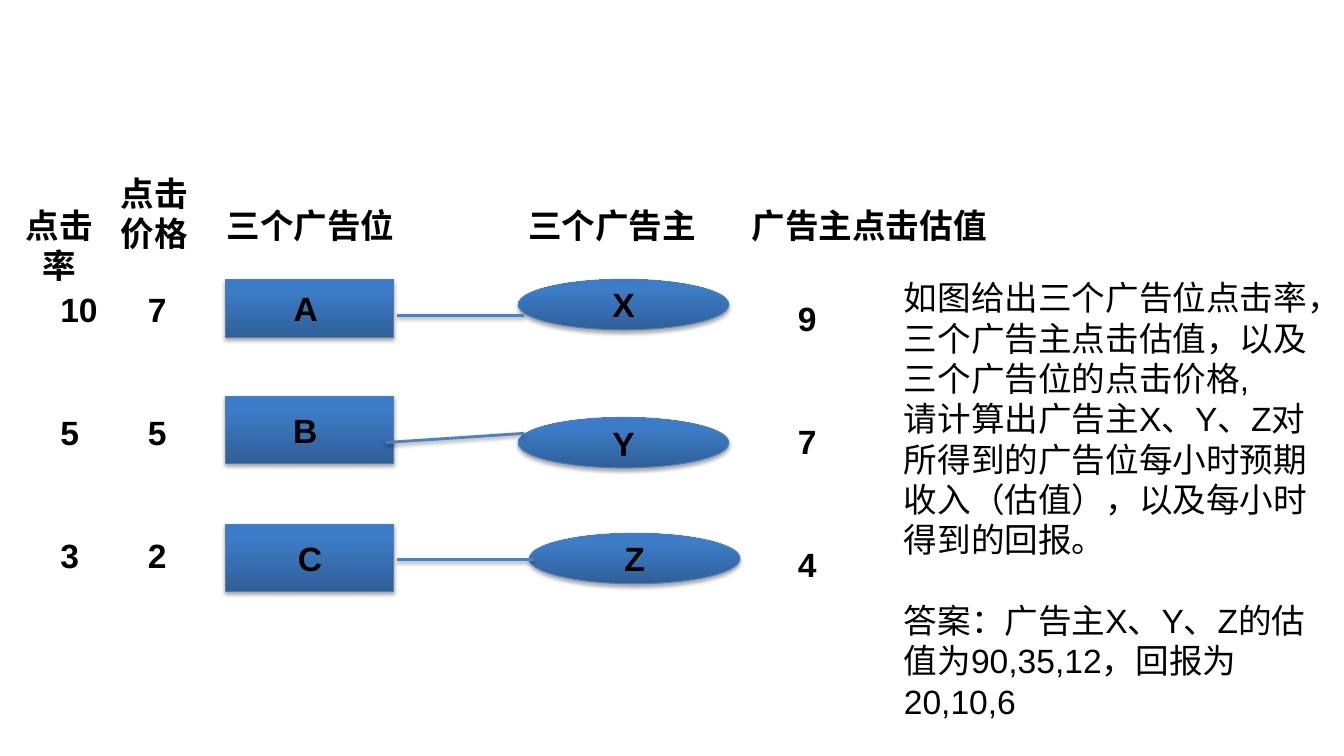
from lxml import etree
from pptx import Presentation
from pptx.dml.color import RGBColor
from pptx.enum.shapes import MSO_CONNECTOR, MSO_SHAPE
from pptx.enum.text import MSO_ANCHOR, PP_ALIGN
from pptx.oxml.ns import qn
from pptx.util import Cm, Pt

RECT, OVAL = MSO_SHAPE.RECTANGLE, MSO_SHAPE.OVAL
STRAIGHT = MSO_CONNECTOR.STRAIGHT
LEFT, CENTER = PP_ALIGN.LEFT, PP_ALIGN.CENTER
MIDDLE = MSO_ANCHOR.MIDDLE

COLORS = {
    "text": "000000", "outline": "4B7EBC", "link": "4F81BD", "shadow": "000000",
    "dark": "2F5F99", "mid": "3D7CC7", "light": "3A7CCB",
}
FONT = {"name": "Arial", "size": Pt(24)}
STOPS = [(0, "dark"), (80, "mid"), (100, "light")]
COLUMN_GAP, ANSWER_GAP = 59, 29

SLOTS = [("A ", 7.04, 1.47), ("B ", 9.98, 1.7), ("C", 13.21, 1.7)]
ADVERTISERS = [("X", 13.06, 7.04), ("Y", 13.06, 10.52), ("Z", 13.34, 13.44)]
LINKS = [
    (10.01, 7.95, 13.21, 7.95),
    (9.73, 11.15, 13.21, 10.92),
    (10.01, 14.1, 13.46, 14.1),
]
HEADINGS = [
    (["点击率"], 0, 5.03, 3, 1.27, CENTER),
    (["点击", "价格"], 2.79, 4.22, 2.24, 2.31, LEFT),
    (["三个广告位"], 5.46, 5.03, 4.8, 1.27, LEFT),
    (["三个广告主"], 13.06, 5.03, 4.8, 1.27, LEFT),
    (["广告主点击估值"], 18.26, 5.03, 7.29, 1.27, CENTER),
]
COLUMNS = [
    (["10", "5", "3"], 1.27, 7.16),
    (["7", "5", "2"], 3.48, 7.16),
    (["9", "7", "4"], 19.86, 7.39),
]
QUESTION = [
    "如图给出三个广告位点击率，三个广告主点击估值，以及三个广告位的点击价格,",
    "请计算出广告主X、Y、Z对所得到的广告位每小时预期收入（估值），以及每小时得到的回报。",
    "答案：广告主X、Y、Z的估值为90,35,12，回报为20,10,6",
]


def rgb(key):
    """Return the named colour."""
    return RGBColor.from_string(COLORS[key])


def add_color(parent, key):
    """Append a colour element and return it."""
    return etree.SubElement(parent, qn("a:srgbClr"), val=COLORS[key])


def add_shadow(sp, alpha, dist):
    """Give an object a soft shadow straight below it."""
    effects = etree.SubElement(sp._element.spPr, qn("a:effectLst"))
    outer = etree.SubElement(
        effects, qn("a:outerShdw"), blurRad=str(Pt(3.1)), dist=str(Pt(dist)),
        dir="5400000", rotWithShape="0")
    etree.SubElement(add_color(outer, "shadow"), qn("a:alpha"), val=str(alpha * 1000))


def fill_gradient(sp):
    """Fill a shape with the blue gradient, dark at the bottom."""
    sp.fill.gradient()
    sp.fill.gradient_angle = 90
    stops = sp._element.spPr.find(".//" + qn("a:gsLst"))
    stops.clear()
    for pos, key in STOPS:
        add_color(etree.SubElement(stops, qn("a:gs"), pos=str(pos * 1000)), key)


def write(tf, lines, align=LEFT, bold=True, gaps=()):
    """Write one paragraph per line, with an optional gap before each."""
    for i, line in enumerate(lines):
        p = tf.paragraphs[0] if i == 0 else tf.add_paragraph()
        p.alignment = align
        if i and gaps:
            p.space_before = Pt(gaps[i])
        r = p.add_run()
        r.text = line
        for name, value in {**FONT, "bold": bold}.items():
            setattr(r.font, name, value)
        r.font.color.rgb = rgb("text")


def add_node(s, kind, label, x, y, w, h):
    """Add a labelled gradient shape."""
    sp = s.shapes.add_shape(kind, Cm(x), Cm(y), Cm(w), Cm(h))
    fill_gradient(sp)
    sp.line.color.rgb = rgb("outline")
    sp.line.width = Pt(0.75)
    add_shadow(sp, 35, 1.8)
    sp.text_frame.vertical_anchor = MIDDLE
    write(sp.text_frame, [label], CENTER)


def add_link(s, x1, y1, x2, y2):
    """Join a slot to an advertiser."""
    sp = s.shapes.add_connector(STRAIGHT, Cm(x1), Cm(y1), Cm(x2), Cm(y2))
    sp.line.color.rgb = rgb("link")
    sp.line.width = Pt(2)
    add_shadow(sp, 38, 1.6)


def add_text(s, lines, x, y, w, h, align=LEFT, wrap=True, **style):
    """Add a text box."""
    tf = s.shapes.add_textbox(Cm(x), Cm(y), Cm(w), Cm(h)).text_frame
    tf.word_wrap = wrap
    write(tf, lines, align, **style)


def main():
    """Build the slide and save it."""
    prs = Presentation()
    prs.slide_width, prs.slide_height = Cm(33.87), Cm(19.05)
    s = prs.slides.add_slide(prs.slide_layouts[6])
    for label, y, h in SLOTS:
        add_node(s, RECT, label, 5.69, y, 4.24, h)
    for label, x, y in ADVERTISERS:
        add_node(s, OVAL, label, x, y, 5.31, 1.27)
    for ends in LINKS:
        add_link(s, *ends)
    for heading in HEADINGS:
        add_text(s, *heading, wrap=False)
    for values, x, y in COLUMNS:
        add_text(s, values, x, y, 2.26, 7.44, gaps=[0, COLUMN_GAP, COLUMN_GAP])
    add_text(s, QUESTION, 22.53, 6.86, 11.33, 11.53, bold=False, gaps=[0, 0, ANSWER_GAP])
    prs.save("out.pptx")


if __name__ == "__main__":
    main()
